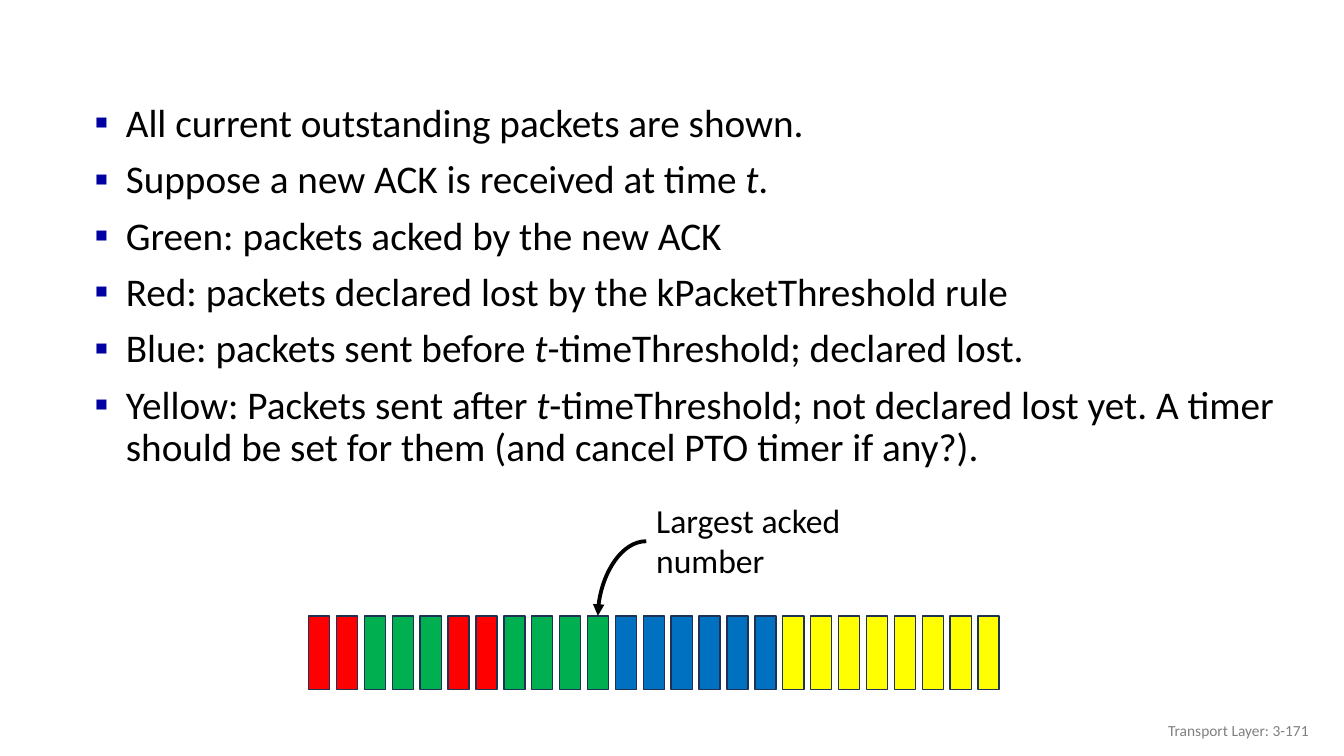
"""Build the slide on packets acked, declared lost or still pending when a new ACK arrives."""
import pptx
import pptx.dml.color
import pptx.enum.shapes
import pptx.enum.text
import pptx.oxml
import pptx.oxml.ns
import pptx.util

PX = 9144
FONT = "Calibri"
COLORS = {
    "text": "000000", "footer": "808080", "bullet": "0000A3", "outline": "1E3256",
    "red": "FF0000", "green": "00B050", "blue": "0070C0", "yellow": "FFFF00",
}
ITALIC = "t"
BULLETS = [
    ["All current outstanding packets are shown."],
    ["Suppose a new ACK is received at time ", ITALIC, "."],
    ["Green: packets acked by the new ACK"],
    ["Red: packets declared lost by the kPacketThreshold rule"],
    ["Blue: packets sent before ", ITALIC, "-timeThreshold; declared lost."],
    ["Yellow: Packets sent after ", ITALIC, "-timeThreshold; not declared lost yet. "
     "A timer should be set for them (and cancel PTO timer if any?)."],
]
PACKET_GROUPS = [("red", 2), ("green", 3), ("red", 2), ("green", 4), ("blue", 6), ("yellow", 8)]
PACKET_LEFT, PACKET_TOP, PACKET_WIDTH, PACKET_HEIGHT = 306, 611, 21, 73
PACKET_SPAN = 664


def color(name):
    return pptx.dml.color.RGBColor.from_string(COLORS[name])


def add_xml(parent, tag, **attributes):
    element = pptx.oxml.parse_xml(f"<a:{tag} {pptx.oxml.ns.nsdecls('a')}/>")
    for key, value in attributes.items():
        element.set(key, value)
    parent.append(element)
    return element


def style(span, size, name="text"):
    span.font.name = FONT
    span.font.size = pptx.util.Pt(size)
    span.font.color.rgb = color(name)


def add_box(page, left, top, width, height):
    box = page.shapes.add_textbox(left * PX, top * PX, width * PX, height * PX)
    box.text_frame.word_wrap = True
    return box.text_frame


def add_label(page, area, text, size, name="text"):
    frame = add_box(page, *area)
    frame.text = text
    style(frame.paragraphs[0].runs[0], size, name)
    return frame


def add_bullets(page):
    frame = add_box(page, 58, 98, 1245, 393)
    for index, parts in enumerate(BULLETS):
        para = frame.add_paragraph() if index else frame.paragraphs[0]
        para.line_spacing = 0.9
        if index:
            para.space_before = pptx.util.Pt(10)
        properties = para._p.get_or_add_pPr()
        properties.set("marL", str(57 * PX))
        properties.set("indent", str(-31 * PX))
        add_xml(add_xml(properties, "buClr"), "srgbClr", val=COLORS["bullet"])
        add_xml(properties, "buFont", typeface=FONT)
        add_xml(properties, "buChar", char="▪")
        for part in parts:
            span = para.add_run()
            span.text = part
            style(span, 28)
            span.font.italic = part == ITALIC


def add_packets(page):
    names = [name for name, count in PACKET_GROUPS for _ in range(count)]
    pitch = PACKET_SPAN / (len(names) - 1)
    for index, name in enumerate(names):
        packet = page.shapes.add_shape(
            pptx.enum.shapes.MSO_SHAPE.RECTANGLE, round((PACKET_LEFT + index * pitch) * PX),
            PACKET_TOP * PX, PACKET_WIDTH * PX, PACKET_HEIGHT * PX)
        packet.shadow.inherit = False
        packet.fill.solid()
        packet.fill.fore_color.rgb = color(name)
        packet.line.color.rgb = color("outline")
        packet.line.width = pptx.util.Pt(1)


def add_arrow(page):
    arrow = page.shapes.add_connector(
        pptx.enum.shapes.MSO_CONNECTOR.CURVE, 593 * PX, 611 * PX, 641 * PX, 537 * PX)
    arrow.line.color.rgb = color("text")
    arrow.line.width = pptx.util.Pt(2.75)
    properties = arrow._element.spPr
    properties.find(pptx.oxml.ns.qn("a:xfrm")).set("rot", "10800000")
    properties.find(pptx.oxml.ns.qn("a:prstGeom")).set("prst", "curvedConnector2")
    add_xml(properties.find(pptx.oxml.ns.qn("a:ln")), "tailEnd", type="triangle")
    add_xml(properties, "effectLst")


def main():
    deck = pptx.Presentation()
    deck.slide_width, deck.slide_height = 1333 * PX, 750 * PX
    page = deck.slides.add_slide(deck.slide_layouts[6])
    footer = add_label(page, (1008, 705, 300, 40), "Transport Layer: 3-171", 11, "footer")
    footer.vertical_anchor = pptx.enum.text.MSO_ANCHOR.MIDDLE
    footer.paragraphs[0].alignment = pptx.enum.text.PP_ALIGN.RIGHT
    add_packets(page)
    add_bullets(page)
    add_label(page, (641, 491, 221, 91), "Largest acked number", 24)
    add_arrow(page)
    deck.save("out.pptx")


if __name__ == "__main__":
    main()
